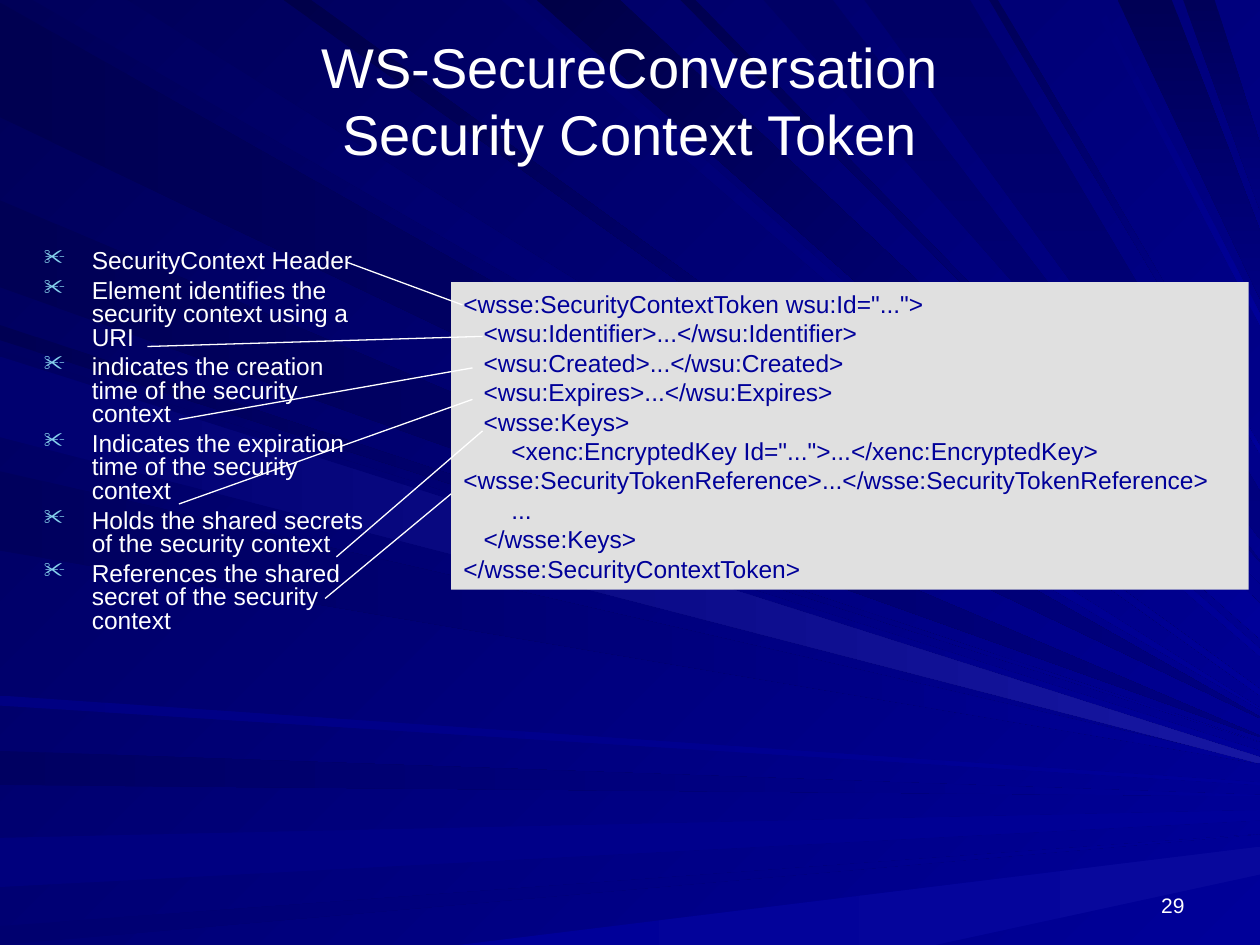
from lxml.etree import SubElement
from pptx import Presentation
from pptx.dml.color import RGBColor
from pptx.enum.shapes import MSO_CONNECTOR, MSO_SHAPE
from pptx.enum.text import MSO_ANCHOR, MSO_AUTO_SIZE, PP_ALIGN
from pptx.oxml.ns import qn
from pptx.util import Emu, Pt

PX = 9144
WIDTH, HEIGHT = 1000, 750
DIM, BRIGHT, GLOW = "000080", "000099", "1717A2"

BEAMS = [
    ("left", 2, 93, 569, 570, "000051", DIM),
    ("top", 26, 101, 562, 563, "00005D", BRIGHT),
    ("left", 596, 623, 631, 632, "000061", BRIGHT),
    ("left", 665, 704, 643, 651, "00007D", BRIGHT),
    ("left", 735, 755, 662, 662, "00006F", BRIGHT),
    ("bottom", 364, 742, 672, 694, BRIGHT, "08089C"),
    ("left", 258, 270, 589, 589, "000053", BRIGHT),
    ("left", 159, 228, 584, 585, "000055", DIM),
    ("top", 398, 416, 515, 521, "00006B", BRIGHT),
    ("top", 426, 492, 479, 507, "000047", BRIGHT),
    ("top", 540, 552, 463, 463, "00004F", BRIGHT),
    ("top", 606, 661, 445, 446, "000065", DIM),
    ("top", 887, 930, 183, 237, "000055", DIM),
    ("top", 939, 964, 114, 167, "000059", DIM),
    ("left", 278, 342, 596, 602, "000061", BRIGHT),
    ("left", 374, 437, 605, 606, "00005D", BRIGHT),
    ("left", 552, 560, 621, 623, "000082", BRIGHT),
    ("top", 225, 247, 547, 552, "00004A", BRIGHT),
    ("top", 686, 770, 390, 428, "000065", DIM),
    ("top", 785, 792, 354, 360, "000058", BRIGHT),
    ("top", 865, 872, 249, 258, "000079", BRIGHT),
    ("left", 283, 347, 601, 606, "00006F", GLOW),
]

NOTES = [
    "SecurityContext Header",
    "Element identifies the security context using a URI",
    "indicates the creation time of the security context",
    "Indicates the expiration time of the security context",
    "Holds the shared secrets of the security context",
    "References the shared secret of the security context",
]

TOKEN_CODE = [
    (0, '<wsse:SecurityContextToken wsu:Id="...">'),
    (16, "<wsu:Identifier>...</wsu:Identifier>"),
    (16, "<wsu:Created>...</wsu:Created>"),
    (16, "<wsu:Expires>...</wsu:Expires>"),
    (16, "<wsse:Keys>"),
    (38, '<xenc:EncryptedKey Id="...">...</xenc:EncryptedKey>'),
    (0, "<wsse:SecurityTokenReference>...</wsse:SecurityTokenReference>"),
    (38, "..."),
    (16, "</wsse:Keys>"),
    (0, "</wsse:SecurityContextToken>"),
]

LEADERS = [
    (275, 208, 367, 242),
    (117, 275, 383, 267),
    (142, 333, 375, 292),
    (142, 400, 375, 317),
    (267, 442, 383, 342),
    (258, 475, 358, 392),
]


def color(value):
    return RGBColor.from_string(value)


def px(*lengths):
    return [Emu(length * PX) for length in lengths]


class SlideBuilder:
    font = "Arial"
    white = "FFFFFF"
    code_ink = "000099"
    panel = "E0E0E0"
    bullet_ink = "86D1EC"

    def __init__(self, slide):
        self.slide = slide
        self.shapes = slide.shapes

    def gradient(self, fill, first, last, angle):
        fill.gradient()
        fill.gradient_angle = (360 - angle) % 360
        for stop, value in zip(fill.gradient_stops, (first, last)):
            stop.color.rgb = color(value)

    def background(self, first, last, angle):
        self.gradient(self.slide.background.fill, first, last, angle)

    def beam(self, group, side, near, far, upper, lower, first, last):
        if side == "left":
            source = [(0, far), (0, min(near, HEIGHT))]
            source = [(0, min(far, HEIGHT)), (0, near)]
            angle = 0
        elif side == "top":
            source = [(near, 0), (far, 0)]
            angle = 90 if last == DIM else 45
        else:
            source = [(far, HEIGHT), (near, HEIGHT)]
            angle = 0
        builder = group.shapes.build_freeform(*source[0], scale=PX)
        builder.add_line_segments([source[1], (WIDTH, upper), (WIDTH, lower)], close=True)
        shape = builder.convert_to_shape()
        shape.shadow.inherit = False
        shape.line.fill.background()
        self.gradient(shape.fill, first, last, angle)

    def run(self, paragraph, text, size, ink):
        run = paragraph.add_run()
        run.text = text
        run.font.name = self.font
        run.font.size = Pt(size)
        run.font.color.rgb = color(ink)

    def paragraphs(self, frame, count):
        return [frame.paragraphs[0]] + [frame.add_paragraph() for _ in range(count - 1)]

    def indent(self, paragraph, left, first=0):
        properties = paragraph._p.get_or_add_pPr()
        properties.set("marL", str(left * PX))
        properties.set("indent", str(first * PX))
        return properties

    def title(self, box, lines, size):
        title = self.shapes.title
        title.left, title.top, title.width, title.height = px(*box)
        self.shapes._spTree.append(title._element)
        frame = title.text_frame
        frame.auto_size = MSO_AUTO_SIZE.NONE
        frame.vertical_anchor = MSO_ANCHOR.MIDDLE
        paragraph = frame.paragraphs[0]
        paragraph.alignment = PP_ALIGN.CENTER
        for index, line in enumerate(lines):
            if index:
                paragraph.add_line_break()
            self.run(paragraph, line, size, self.white)

    def text_box(self, box):
        frame = self.shapes.add_textbox(*px(*box)).text_frame
        frame.word_wrap = True
        return frame

    def page_number(self, box, text):
        frame = self.text_box(box)
        frame.vertical_anchor = MSO_ANCHOR.BOTTOM
        paragraph = frame.paragraphs[0]
        paragraph.alignment = PP_ALIGN.RIGHT
        self.run(paragraph, text, 12, self.white)

    def bullets(self, box, items):
        frame = self.text_box(box)
        for paragraph, item in zip(self.paragraphs(frame, len(items)), items):
            paragraph.line_spacing = 0.8
            paragraph.space_before = Pt(3.5)
            properties = self.indent(paragraph, 38, -38)
            bullet_color = SubElement(properties, qn("a:buClr"))
            SubElement(bullet_color, qn("a:srgbClr"), val=self.bullet_ink)
            SubElement(properties, qn("a:buSzPct"), val="90000")
            SubElement(properties, qn("a:buChar"), char="✂")
            self.run(paragraph, item, 14, self.white)

    def code_panel(self, box, lines):
        shape = self.shapes.add_shape(MSO_SHAPE.RECTANGLE, *px(*box))
        shape.shadow.inherit = False
        shape.fill.solid()
        shape.fill.fore_color.rgb = color(self.panel)
        shape.line.fill.background()
        frame = shape.text_frame
        frame.word_wrap = True
        frame.auto_size = MSO_AUTO_SIZE.SHAPE_TO_FIT_TEXT
        frame.vertical_anchor = MSO_ANCHOR.MIDDLE
        for paragraph, (left, text) in zip(self.paragraphs(frame, len(lines)), lines):
            paragraph.alignment = PP_ALIGN.LEFT
            self.indent(paragraph, left)
            self.run(paragraph, text, 14, self.code_ink)

    def leader(self, ends):
        connector = self.shapes.add_connector(MSO_CONNECTOR.STRAIGHT, *px(*ends))
        connector.line.color.rgb = color(self.white)
        connector.line.width = Pt(0.75)
        SubElement(connector._element.spPr, qn("a:effectLst"))


def main():
    presentation = Presentation()
    presentation.slide_width, presentation.slide_height = px(WIDTH, HEIGHT)
    slide = presentation.slides.add_slide(presentation.slide_layouts[5])
    builder = SlideBuilder(slide)
    builder.background("000058", BRIGHT, 45)
    group = slide.shapes.add_group_shape()
    for beam in BEAMS:
        builder.beam(group, *beam)
    builder.page_number((717, 683, 233, 50), "29")
    builder.title((50, 25, 900, 108), ["WS-SecureConversation", "Security Context Token"], 32)
    builder.bullets((25, 194, 275, 372), NOTES)
    builder.code_panel((358, 224, 633, 244), TOKEN_CODE)
    for ends in LEADERS:
        builder.leader(ends)
    presentation.save("out.pptx")


if __name__ == "__main__":
    main()
